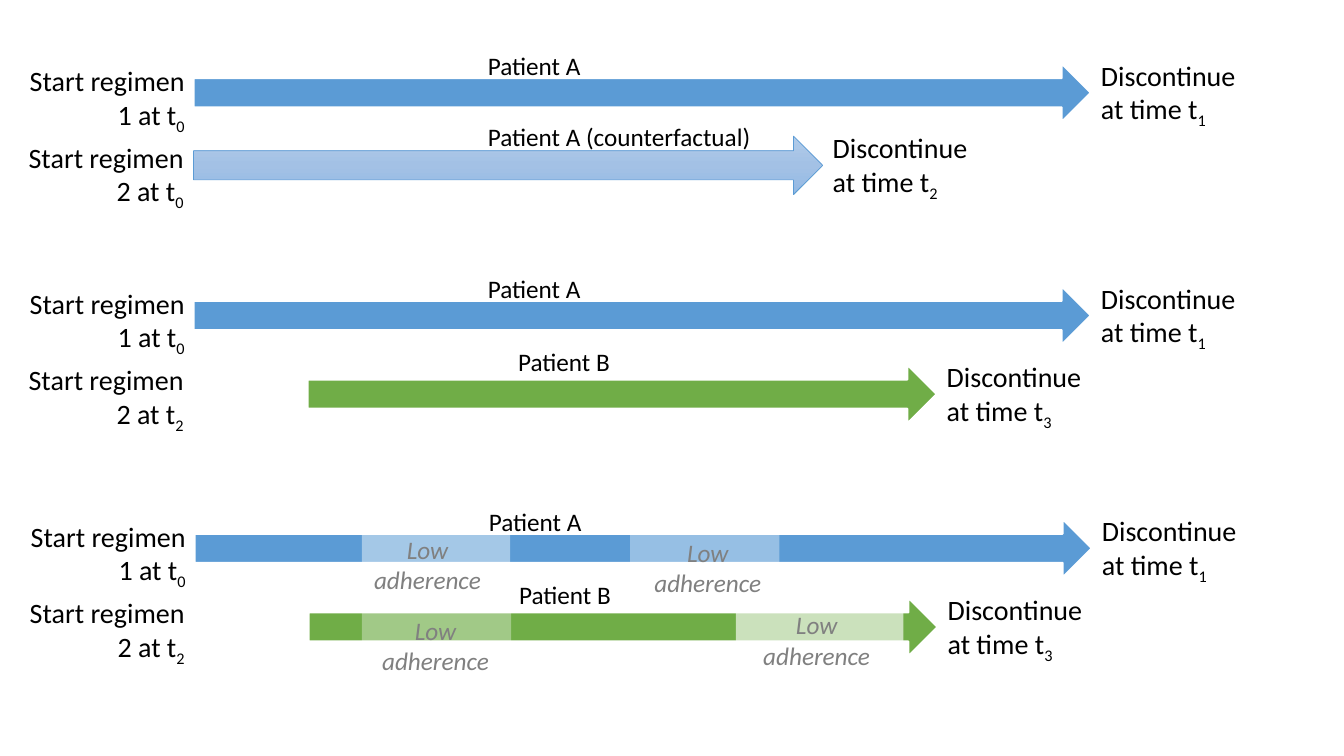
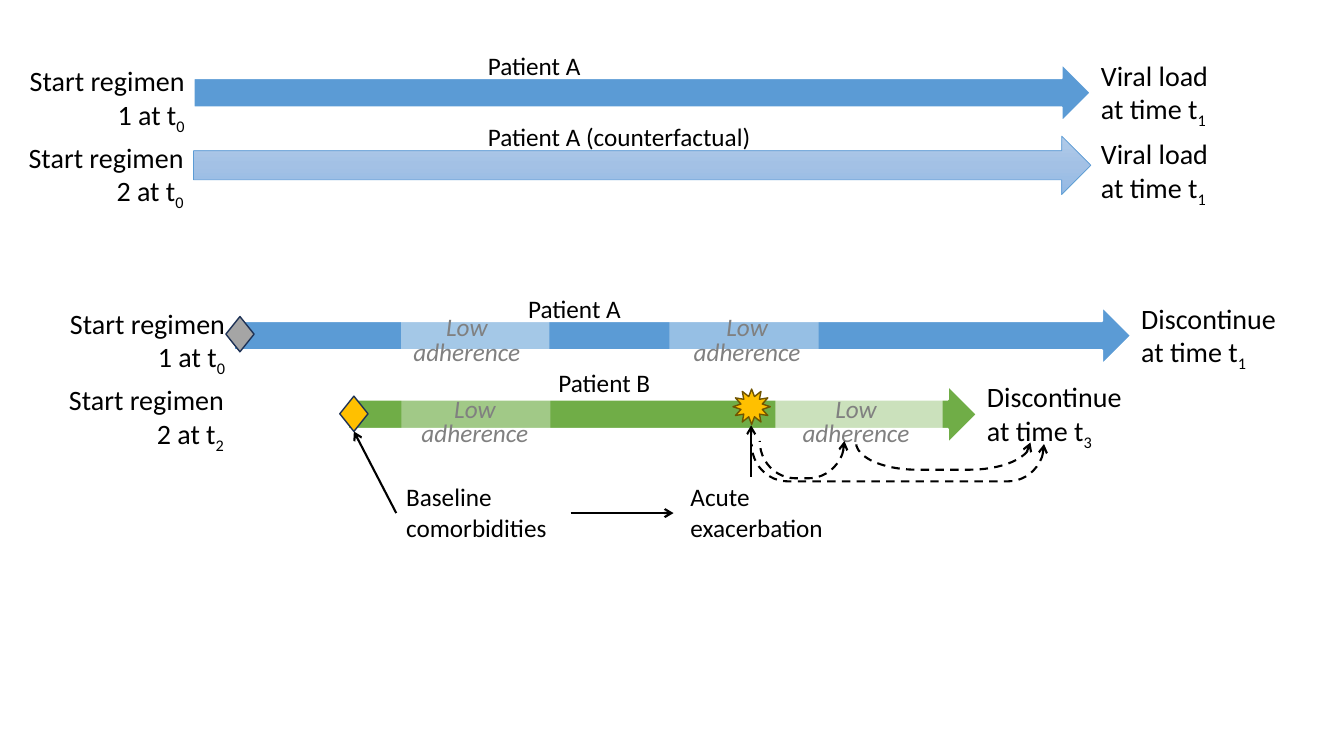
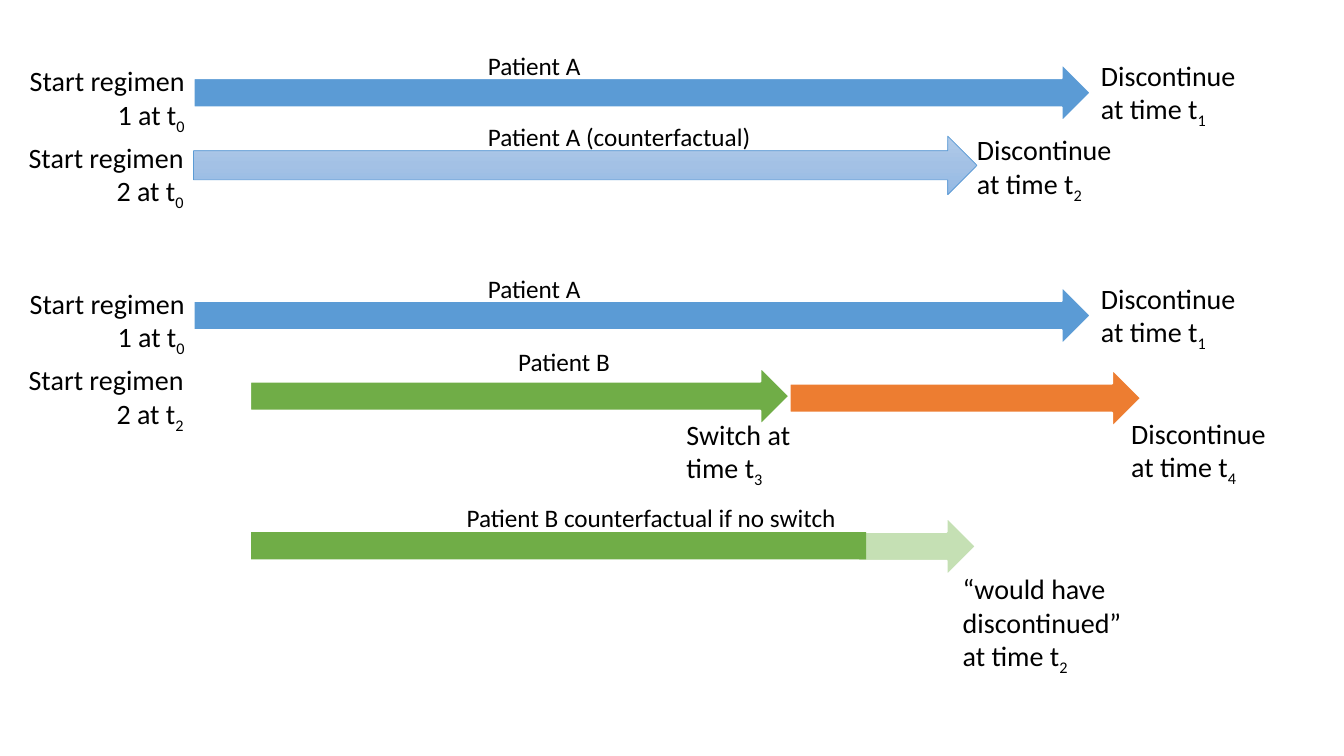
from collections import namedtuple
from copy import deepcopy
from dataclasses import dataclass

from lxml import etree
from pptx import Presentation
from pptx.dml.color import RGBColor
from pptx.enum.dml import MSO_LINE
from pptx.enum.shapes import MSO_CONNECTOR, MSO_SHAPE
from pptx.enum.text import MSO_AUTO_SIZE, PP_ALIGN
from pptx.oxml.ns import qn
from pptx.util import Pt

ARROW, RECT = MSO_SHAPE.RIGHT_ARROW, MSO_SHAPE.RECTANGLE
DIAMOND, STAR, BRACKET = MSO_SHAPE.DIAMOND, MSO_SHAPE.STAR_12_POINT, MSO_SHAPE.LEFT_BRACKET
LEFT, CENTER, RIGHT = PP_ALIGN.LEFT, PP_ALIGN.CENTER, PP_ALIGN.RIGHT
STRAIGHT, DASH = MSO_CONNECTOR.STRAIGHT, MSO_LINE.DASH
GROW = MSO_AUTO_SIZE.SHAPE_TO_FIT_TEXT

PX = 9144  # EMU per px, 100 px to the inch


@dataclass(frozen=True)
class Theme:
    font: str = "Calibri"
    label_size: int = 20
    name_size: int = 18
    ink: str = "000000"
    muted: str = "808080"
    white: str = "FFFFFF"
    blue: str = "5B9BD5"
    green: str = "70AD47"
    pale_green: str = "C5E0B4"
    orange: str = "ED7D31"
    gold: str = "FFC000"
    gold_edge: str = "705400"
    grey: str = "A5A5A5"
    navy: str = "1E3256"
    pale_blue: tuple = ((0, "B1CBE9"), (0.5, "A3C1E5"), (1, "93B9E4"))


theme = Theme()


def add_block(slide, preset, box, fill, edge=None, edge_width=1.5, opacity=None):
    """Preset shape; fill is a colour, a tuple of gradient stops or None."""
    block = slide.shapes.add_shape(preset, *(v * PX for v in box))
    block.shadow.inherit = False
    if fill is None:
        block.fill.background()
    elif isinstance(fill, tuple):
        block.fill.gradient()
        block.fill.gradient_angle = 270
        stop_list = block._element.spPr.find(qn("a:gradFill")).find(qn("a:gsLst"))
        stop_list.insert(1, deepcopy(stop_list[0]))
        for stop, (position, colour) in zip(block.fill.gradient_stops, fill):
            stop.position = position
            stop.color.rgb = RGBColor.from_string(colour)
    else:
        block.fill.solid()
        block.fill.fore_color.rgb = RGBColor.from_string(fill)
    if opacity is not None:
        colour_node = block._element.spPr.find(qn("a:solidFill"))[0]
        etree.SubElement(colour_node, qn("a:alpha"), val=str(opacity * 1000))
    if edge:
        block.line.color.rgb = RGBColor.from_string(edge)
        block.line.width = Pt(edge_width)
    else:
        block.line.fill.background()
    return block


def add_text(slide, box, words, sub="", size=theme.label_size, align=LEFT,
             colour=theme.ink, italic=False, spacing=None, wrap=True):
    """Text box whose last characters may be a subscript."""
    frame = slide.shapes.add_textbox(*(v * PX for v in box)).text_frame
    frame.word_wrap = wrap
    frame.auto_size = GROW
    paragraph = frame.paragraphs[0]
    paragraph.alignment = align
    if spacing:
        paragraph.line_spacing = spacing
    for part, baseline in ((words, None), (sub, "-25000")):
        if not part:
            continue
        run = paragraph.add_run()
        run.text = part
        run.font.name = theme.font
        run.font.size = Pt(size)
        run.font.italic = italic
        run.font.color.rgb = RGBColor.from_string(colour)
        if baseline:
            run._r.get_or_add_rPr().set("baseline", baseline)


# Each comparison starts at (x, y); the offsets of its second lane count from there
Comparison = namedtuple("Comparison", "x y outcome second low_adherence", defaults=(None,))
Lane = namedtuple("Lane", "name name_box start_sub arrow fill edge edge_width outcome end_sub end_at")
LowAdherence = namedtuple("LowAdherence", "label_tops height spacing")

STOP, VIRAL = "Discontinue at time t", "Viral load at time t"
OUTCOME_WIDTH = {STOP: 172, VIRAL: 151, "Switch at time t": 172}


def counterfactual(width, outcome, end_sub, end_at):
    return Lane("Patient A (counterfactual)", (282, 52, 284, 40), "0", (0, 72, width, 58),
                theme.pale_blue, theme.blue, 0.5, outcome, end_sub, end_at)


patient_b = Lane("Patient B", (312, 55, 112, 40), "2", (113, 78, 624, 58),
                 theme.green, theme.white, 1.5, STOP, "3", (737, 68))
switching_b = patient_b._replace(arrow=(56, 80, 535, 58), outcome="Switch at time t",
                                 end_at=(479, 125))

decks = [
    [Comparison(192, 63, STOP, counterfactual(624, STOP, "2", (624, 62))),
     Comparison(192, 284, STOP, patient_b),
     Comparison(193, 515, STOP, patient_b, LowAdherence((10, 13, 90, 85), 71, None))],
    [Comparison(192, 63, VIRAL, counterfactual(890, VIRAL, "1", (890, 68))),
     Comparison(232, 304, STOP, patient_b, LowAdherence((6, 6, 87, 87), 59, 0.8))],
    [Comparison(192, 63, STOP, counterfactual(777, STOP, "2", (767, 64))),
     Comparison(192, 284, STOP, switching_b)],
]

# Faded stretch: left, top, width, height, opacity, left of its label
faded_stretches = [
    (166, 15, 147, 37, 45, 162),
    (432, 0, 148, 48, 36, 440),
    (166, 91, 148, 48, 35, 170),
    (537, 82, 166, 48, 64, 548),
]

prs = Presentation()
prs.slide_width, prs.slide_height = 1333 * PX, 750 * PX
slides = []

# Comparisons of two lanes
for comparisons in decks:
    slide = prs.slides.add_slide(prs.slide_layouts[6])
    slides.append(slide)
    for x, y, outcome, second, low in comparisons:
        # First lane: patient A
        add_block(slide, ARROW, (x, y, 890, 58), theme.blue, theme.white)
        add_text(slide, (x - 173, y - 5, 174, 77), "Start regimen 1 at t", "0", align=RIGHT)
        add_text(slide, (x + 890, y - 10, OUTCOME_WIDTH[outcome], 77), outcome, "1")
        add_text(slide, (x + 282, y - 18, 113, 40), "Patient A", size=theme.name_size, wrap=False)

        # Second lane
        left, top, width, height = second.arrow
        add_block(slide, ARROW, (x + left, y + top, width, height),
                  second.fill, second.edge, second.edge_width)
        add_text(slide, (x - 174, y + 71, 174, 77), "Start regimen 2 at t",
                 second.start_sub, align=RIGHT)
        left, top = second.end_at
        add_text(slide, (x + left, y + top, OUTCOME_WIDTH[second.outcome], 77),
                 second.outcome, second.end_sub)
        left, top, width, height = second.name_box
        add_text(slide, (x + left, y + top, width, height), second.name,
                 size=theme.name_size, wrap=False)

        # Periods of low adherence
        if low:
            for left, top, width, height, opacity, _ in faded_stretches:
                add_block(slide, RECT, (x + left, y + top, width, height),
                          theme.white, opacity=opacity)
            for stretch, label_top in zip(faded_stretches, low.label_tops):
                add_text(slide, (x + stretch[-1], y + label_top, 138, low.height),
                         "Low adherence", size=theme.name_size, align=CENTER,
                         colour=theme.muted, italic=True, spacing=low.spacing)

# Slide 2: events and what they influence
_, confounding, switching = slides
exacerbation = add_block(confounding, STAR, (727, 386, 37, 35), theme.gold, theme.gold_edge, 1)
exacerbation.adjustments[0] = 0.297
for left, top, fill in ((337, 393, theme.gold), (224, 314, theme.grey)):
    add_block(confounding, DIAMOND, (left, top, 28, 35), fill, theme.navy, 1)

for left, cause in ((393, "Baseline comorbidities"), (675, "Acute exacerbation")):
    add_text(confounding, (left, 473, 173, 71), cause, size=theme.name_size)

for ends in ((393, 509, 351, 428), (566, 509, 668, 509), (745, 473, 745, 422)):
    influence = confounding.shapes.add_connector(STRAIGHT, *(v * PX for v in ends))
    influence.line.color.rgb = RGBColor.from_string(theme.ink)
    influence.line.width = Pt(1.5)
    etree.SubElement(influence.line._get_or_add_ln(), qn("a:tailEnd"), type="arrow")
    etree.SubElement(influence._element.spPr, qn("a:effectLst"))

for box, bend in (((777, 414, 37, 84), 0.964), ((872, 314, 37, 290), 0.964),
                  ((922, 366, 27, 173), 2.244)):
    feedback = add_block(confounding, BRACKET, box, None, theme.ink)
    feedback.rotation = 270
    feedback.adjustments[0] = bend
    feedback.line.dash_style = DASH
    etree.SubElement(feedback.line._get_or_add_ln(), qn("a:headEnd"), type="arrow")

# Slide 3: after the switch, and the course without it
add_block(switching, ARROW, (783, 366, 349, 58), theme.orange, theme.white)
add_text(switching, (1112, 408, 172, 77), STOP, "4")
add_text(switching, (453, 493, 391, 40), "Patient B counterfactual if no switch",
         size=theme.name_size, wrap=False)
add_block(switching, ARROW, (851, 513, 117, 58), theme.pale_green, theme.white)
add_block(switching, RECT, (249, 528, 610, 27), theme.green)
add_text(switching, (945, 562, 181, 111), "“would have discontinued” at time t", "2")

prs.save("out.pptx")
